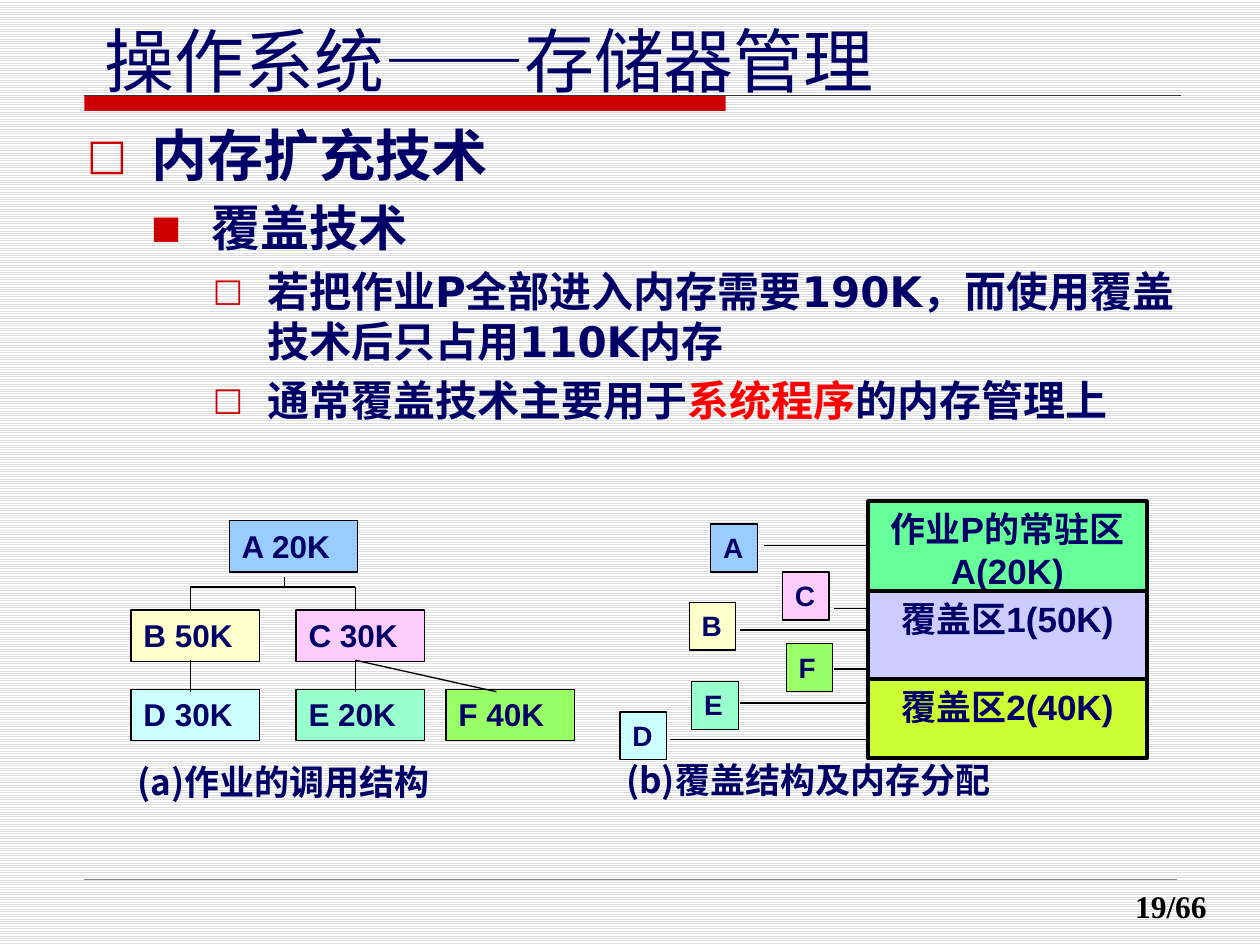
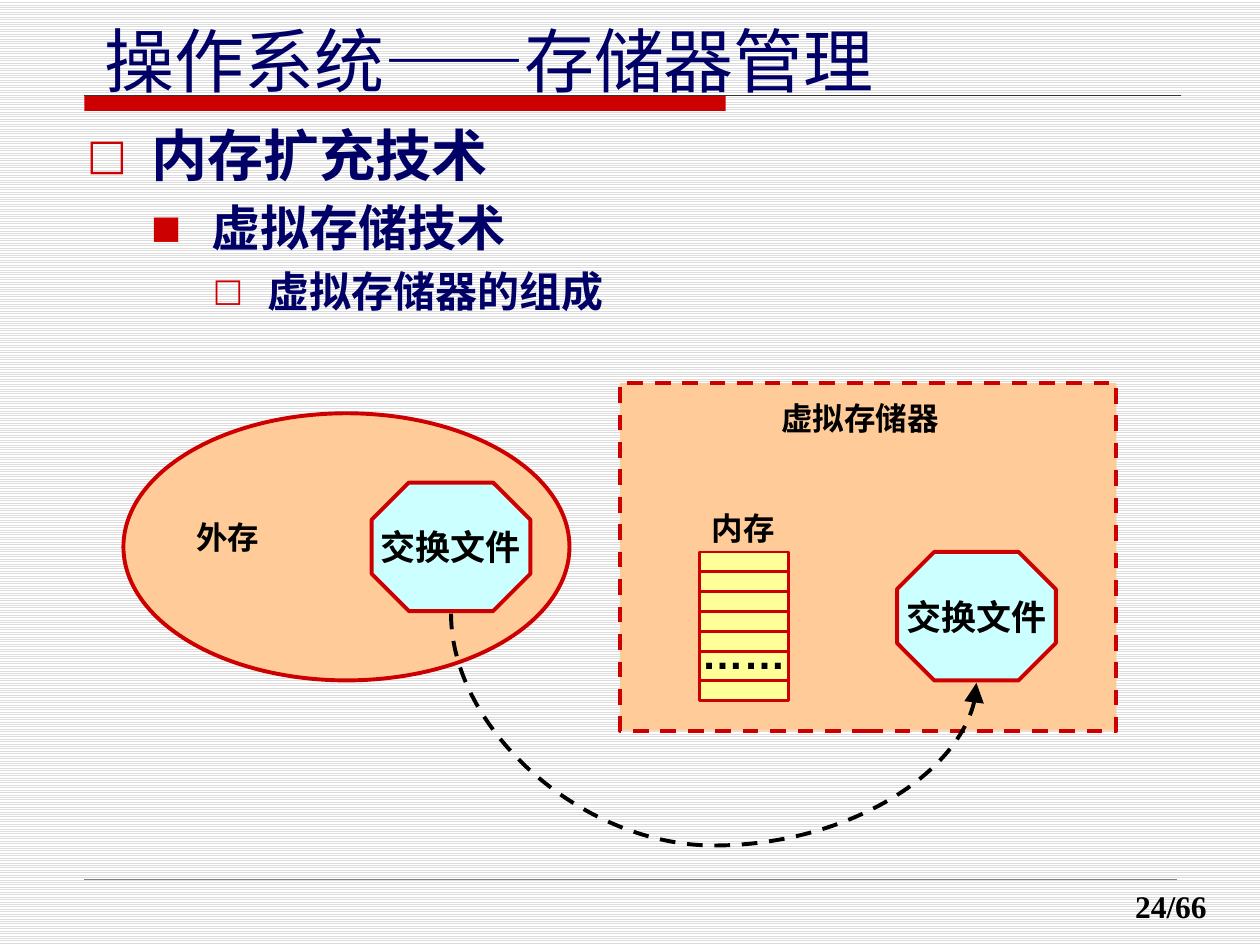
from dataclasses import dataclass
from lxml.etree import SubElement
from pptx import Presentation
from pptx.dml.color import RGBColor
from pptx.enum.dml import MSO_LINE, MSO_PATTERN
from pptx.enum.shapes import MSO_CONNECTOR, MSO_SHAPE
from pptx.enum.text import MSO_ANCHOR, MSO_AUTO_SIZE, PP_ALIGN
from pptx.oxml.ns import qn
from pptx.util import Inches, Pt


@dataclass(frozen=True)
class Theme:
    navy: str = "000066"
    black: str = "000000"
    red: str = "CC0000"
    alert: str = "FF0000"
    rule: str = "333333"
    foot: str = "808080"
    peach: str = "FFCC99"
    cyan: str = "CCFFFF"
    cream: str = "FFFF99"
    sans: str = "DejaVu Sans"
    plain: str = "Arial"
    hans: str = "Noto Sans CJK SC"
    serif: str = "Times New Roman"
    title: int = 40
    large: int = 20
    label: int = 18
    small: int = 16
    dots: int = 24


@dataclass(frozen=True)
class Level:
    size: int
    mark: str
    scale: int
    indent: float
    hang: float


@dataclass(frozen=True)
class Item:
    level: int
    runs: tuple


@dataclass(frozen=True)
class Area:
    col: float
    row: float
    wide: float
    high: float

    def place(self) -> tuple:
        return tuple(cell(v) for v in (self.col, self.row, self.wide, self.high))


@dataclass(frozen=True)
class Job:
    name: str
    size: int
    fill: str
    node: tuple
    tag: tuple
    wire: tuple


THEME = Theme()
COLS, ROWS = 100, 75
LEVELS = (
    Level(32, "□", 76, 5.1, 5.1),
    Level(28, "■", 65, 9.9, 4.8),
    Level(24, "□", 76, 14.3, 4.3),
)
JOBS = (
    Job("A", 20, "99CCFF", (18.2, 41.3), (56.4, 41.6), (60.6, 43.3)),
    Job("B", 50, "FFFFCC", (10.4, 48.4), (54.7, 47.8), (58.7, 50)),
    Job("C", 30, "FFCCFF", (23.5, 48.4), (62.1, 45.4), (66.2, 48.3)),
    Job("D", 30, "CCFFFF", (10.4, 54.7), (49.2, 56.5), (53.2, 58.7)),
    Job("E", 20, "99FFCC", (23.5, 54.7), (54.9, 54.1), (58.7, 55.8)),
    Job("F", 40, "99FF66", (35.4, 54.7), (62.4, 51.1), (66.2, 53.1)),
)
LINKS = (
    (22.6, 45.8, 22.6, 46.6),
    (15.1, 46.6, 28.2, 46.6),
    (15.1, 46.6, 15.1, 48.3),
    (28.2, 46.6, 28.2, 48.3),
    (15.1, 52.4, 15.1, 54.9),
    (28.2, 52.4, 28.2, 54.9),
    (28.2, 52.4, 39.4, 54.9),
)
ZONES = (
    ("作业P的常驻区A(20K)", "66FF99", 39.8, 46.9),
    ("覆盖区1(50K)", "CCCCFF", 46.9, 53.9),
    ("覆盖区2(40K)", "CCFF33", 53.9, 60.2),
)


def cell(count: float) -> int:
    return Inches(count / 10)


def paint(shape, fill: str = "", line: str = "", weight: float = 0.75, dash: bool = False):
    shape.shadow.inherit = False
    if fill:
        shape.fill.solid()
        shape.fill.fore_color.rgb = RGBColor.from_string(fill)
    else:
        shape.fill.background()
    if line:
        stroke(shape.line, line, weight, dash)
    else:
        shape.line.fill.background()


def stroke(line, color: str, weight: float, dash: bool = False):
    line.color.rgb = RGBColor.from_string(color)
    line.width = Pt(weight)
    if dash:
        line.dash_style = MSO_LINE.DASH


def write(para, text: str, *, size: float, color: str = THEME.navy,
          font: str = THEME.sans, bold: bool = True):
    run = para.add_run()
    run.text = text
    run.font.size = Pt(size)
    run.font.bold = bold
    run.font.name = font
    run.font.color.rgb = RGBColor.from_string(color)
    SubElement(run.font._element, qn("a:ea")).set("typeface", font)


def setup(frame, wrap: bool = True, anchor=MSO_ANCHOR.TOP):
    frame.auto_size = MSO_AUTO_SIZE.NONE
    frame.word_wrap = wrap
    frame.vertical_anchor = anchor
    frame.margin_left = frame.margin_right = Inches(0.1)
    frame.margin_top = frame.margin_bottom = Inches(0.05)


def fill_in(shape, text: str, wrap: bool = True, anchor=MSO_ANCHOR.TOP,
            align=PP_ALIGN.LEFT, **style):
    setup(shape.text_frame, wrap, anchor)
    para = shape.text_frame.paragraphs[0]
    para.alignment = align
    write(para, text, **style)


def block(slide, area: Area, kind=MSO_SHAPE.RECTANGLE, **look):
    shape = slide.shapes.add_shape(kind, *area.place())
    paint(shape, **look)
    return shape


def label(slide, area: Area, text: str, **style):
    fill_in(slide.shapes.add_textbox(*area.place()), text, **style)


def wire(slide, ends: tuple, color: str = THEME.black, weight: float = 0.75,
         kind=MSO_CONNECTOR.STRAIGHT, dash: bool = False):
    link = slide.shapes.add_connector(kind, *(cell(v) for v in ends))
    stroke(link.line, color, weight, dash)
    SubElement(link._element.spPr, qn("a:effectLst"))
    return link


def bullet(para, level: Level):
    props = para._p.get_or_add_pPr()
    props.set("marL", str(cell(level.indent)))
    props.set("indent", str(-cell(level.hang)))
    color = SubElement(props, qn("a:buClr"))
    SubElement(color, qn("a:srgbClr")).set("val", THEME.red)
    SubElement(props, qn("a:buSzPct")).set("val", str(level.scale * 1000))
    SubElement(props, qn("a:buFont")).set("typeface", THEME.sans)
    SubElement(props, qn("a:buChar")).set("char", level.mark)


def outline(body, items: tuple):
    body.left, body.top, body.width, body.height = Area(5.9, 9.1, 89.8, 59.1).place()
    frame = body.text_frame
    setup(frame)
    for count, item in enumerate(items):
        para = frame.add_paragraph() if count else frame.paragraphs[0]
        level = LEVELS[item.level]
        para.level = item.level
        para.alignment = PP_ALIGN.LEFT
        para.space_before = Pt(level.size * 0.2 if count else 0)
        bullet(para, level)
        for text, color in item.runs:
            write(para, text, size=level.size, color=color)


def start(deck, page: str, items: tuple):
    slide = deck.slides.add_slide(deck.slide_layouts[1])
    ground = slide.background.fill
    ground.patterned()
    ground.pattern = MSO_PATTERN.LIGHT_HORIZONTAL
    ground.fore_color.rgb = RGBColor.from_string("DDDDDD")
    ground.back_color.rgb = RGBColor.from_string("FFFFFF")
    block(slide, Area(6.7, 7.6, 50.9, 1.2), fill=THEME.red)
    wire(slide, (6.7, 7.6, 93.7, 7.6), THEME.rule)
    wire(slide, (6.7, 69.8, 93.4, 69.8), THEME.foot, 0.25)
    head = slide.shapes.title
    head.left, head.top, head.width, head.height = Area(7.3, 0.9, 63.1, 7.7).place()
    fill_in(head, "操作系统", wrap=False, size=THEME.title, bold=False)
    para = head.text_frame.paragraphs[0]
    write(para, "——", size=THEME.title, font=THEME.hans, bold=False)
    write(para, "存储器管理", size=THEME.title, bold=False)
    label(slide, Area(89.1, 69.9, 8.1, 4), page, wrap=False, size=THEME.label,
          color=THEME.black, font=THEME.serif)
    outline(slide.placeholders[1], items)
    return slide


def overlay(deck):
    navy = THEME.navy
    slide = start(deck, "19/66", (
        Item(0, (("内存扩充技术", navy),)),
        Item(1, (("覆盖技术", navy),)),
        Item(2, (("若把作业P全部进入内存需要190K，而使用覆盖技术后只占用110K内存", navy),)),
        Item(2, (("通常覆盖技术主要用于", navy), ("系统程序", THEME.alert),
                 ("的内存管理上", navy))),
    ))
    label(slide, Area(9.9, 59.9, 29.6, 4.3), "(a)作业的调用结构", wrap=False,
          size=THEME.large, font=THEME.hans)
    label(slide, Area(48.7, 59.7, 31.2, 7.5), "(b)覆盖结构及内存分配",
          size=THEME.large, font=THEME.hans)
    left, wide = 68.9, 22.1
    for text, fill, top, end in ZONES:
        zone = block(slide, Area(left, top, wide, end - top), fill=fill)
        fill_in(zone, text, align=PP_ALIGN.CENTER, size=THEME.large, font=THEME.plain)
    for job in JOBS:
        node = block(slide, Area(*job.node, 10.2, 4.1), fill=job.fill, line=THEME.black)
        fill_in(node, f"{job.name} {job.size}K", size=THEME.label, font=THEME.plain)
        tag = block(slide, Area(*job.tag, 3.7, 3.8), fill=job.fill, line=THEME.black)
        fill_in(tag, job.name, wrap=False, size=THEME.small, font=THEME.plain)
        col, row = job.wire
        wire(slide, (col, row, left, row))
    for ends in LINKS:
        wire(slide, ends)
    top, end = ZONES[0][2], ZONES[-1][3]
    block(slide, Area(left, top, wide, end - top), line=THEME.black, weight=2.25)
    for zone in ZONES[1:]:
        wire(slide, (left, zone[2], left + wide, zone[2]), weight=2.25)


def swap(slide, col: float, row: float):
    shape = block(slide, Area(col, row, 12.6, 10.2), MSO_SHAPE.OCTAGON,
                  fill=THEME.cyan, line=THEME.red, weight=2.25)
    shape.adjustments[0] = 0.29
    fill_in(shape, "交换文件", wrap=False, anchor=MSO_ANCHOR.MIDDLE,
            align=PP_ALIGN.CENTER, size=THEME.large, color=THEME.black)


def curve(slide):
    link = wire(slide, (59.4, 30.6, 53.9, 72.3), weight=2.25,
                kind=MSO_CONNECTOR.CURVE, dash=True)
    link.rotation = 270
    shape = link._element.spPr.find(qn("a:prstGeom"))
    bends = shape.find(qn("a:avLst"))
    if bends is None:
        bends = SubElement(shape, qn("a:avLst"))
    bend = SubElement(bends, qn("a:gd"))
    bend.set("name", "adj1")
    bend.set("fmla", "val 334600")
    tip = SubElement(link.line._get_or_add_ln(), qn("a:tailEnd"))
    for key, value in (("type", "triangle"), ("w", "lg"), ("len", "lg")):
        tip.set(key, value)


def virtual(deck):
    names = ("内存扩充技术", "虚拟存储技术", "虚拟存储器的组成")
    slide = start(deck, "24/66", tuple(
        Item(level, ((name, THEME.navy),)) for level, name in enumerate(names)))
    block(slide, Area(49.2, 30.4, 39.4, 27.6), fill=THEME.peach, line=THEME.red,
          weight=2.25, dash=True)
    block(slide, Area(9.8, 32.8, 35.4, 21.2), MSO_SHAPE.OVAL, fill=THEME.peach,
          line=THEME.red, weight=2.25)
    left, top, wide = 55.5, 43.8, 7.1
    block(slide, Area(left, top, wide, 11.8), fill=THEME.cream, line=THEME.red, weight=1.5)
    for row in [top + 1.58 * n for n in range(1, 6)] + [54]:
        wire(slide, (left, row, left + wide, row), THEME.red, 1.5)
    label(slide, Area(54.7, 49.3, 8.6, 5), "……", wrap=False, size=THEME.dots,
          color=THEME.black, font=THEME.plain)
    for text, area in (
        ("外存", Area(14.6, 40.6, 7, 4)),
        ("内存", Area(55.5, 39.9, 7, 4)),
        ("虚拟存储器", Area(61, 31.2, 15.8, 4)),
    ):
        label(slide, area, text, wrap=False, size=THEME.label, color=THEME.black)
    swap(slide, 29.5, 38.3)
    swap(slide, 71.2, 43.8)
    curve(slide)


def main():
    deck = Presentation()
    deck.slide_width, deck.slide_height = cell(COLS), cell(ROWS)
    overlay(deck)
    virtual(deck)
    deck.save("out.pptx")


if __name__ == "__main__":
    main()
